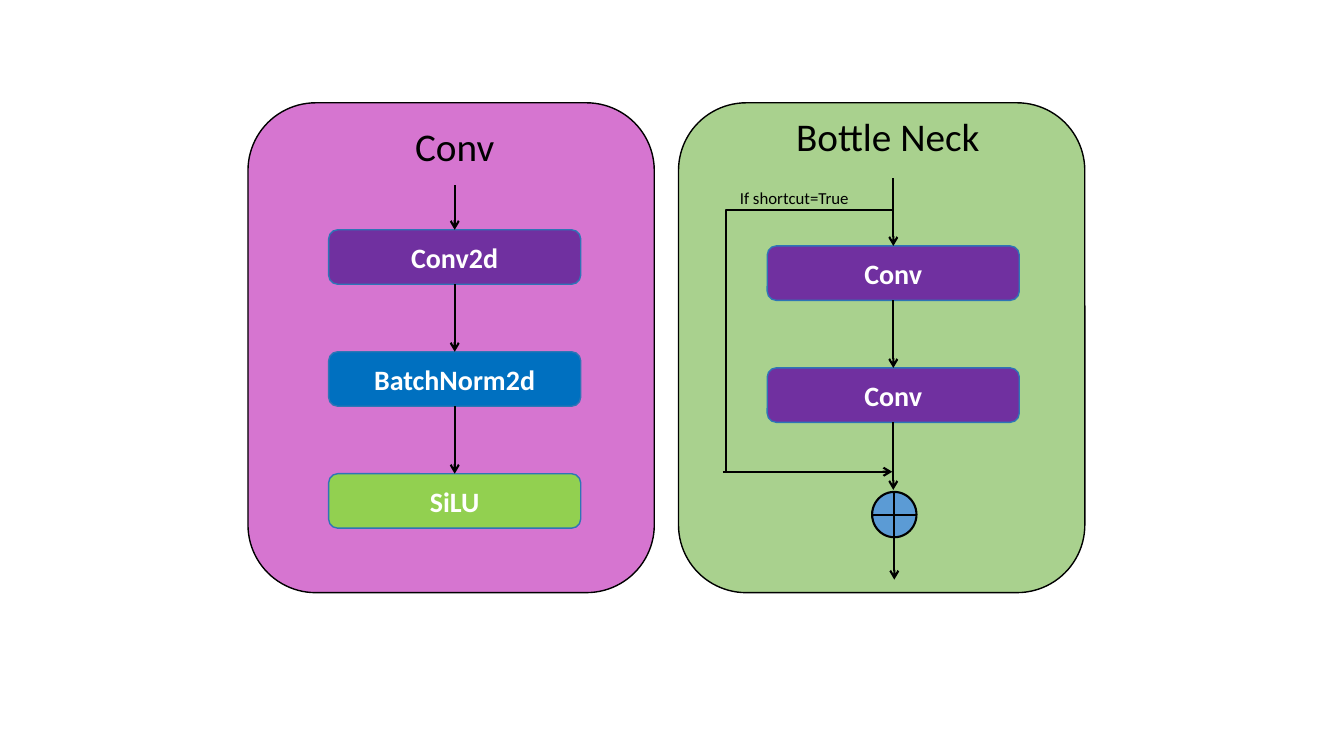
from lxml import etree
from pptx import Presentation
from pptx.dml.color import RGBColor
from pptx.enum.shapes import MSO_CONNECTOR, MSO_SHAPE
from pptx.enum.text import MSO_ANCHOR, MSO_AUTO_SIZE, PP_ALIGN
from pptx.oxml.ns import qn
from pptx.util import Inches, Pt

BLACK, WHITE, EDGE = "000000", "FFFFFF", "2E75B6"
PURPLE, BLUE, GREEN = "7030A0", "0070C0", "92D050"

PANEL_TOP, PANEL_WIDTH, PANEL_HEIGHT = 1.02, 4.03, 4.86
LAYER_WIDTH, LAYER_HEIGHT, LAYER_STEP = 2.5, 0.54, 1.21
PANELS = [
    {"left": 2.46, "fill": "D675D0", "title": ("Conv", 3.93, 1.16, 1.16),
     "layer_left": 3.26, "layer_top": 2.28, "entry": 1.84, "exit": None,
     "layers": [("Conv2d", PURPLE), ("BatchNorm2d", BLUE), ("SiLU", GREEN)]},
    {"left": 6.73, "fill": "A9D18E", "title": ("Bottle Neck", 7.61, 1.07, 2.39),
     "layer_left": 7.61, "layer_top": 2.44, "entry": 1.77, "exit": 4.86,
     "layers": [("Conv", PURPLE), ("Conv", PURPLE)]},
]
SUM_NODE = (8.65, 4.88, 0.44, 0.45)
SHORTCUT_START, SHORTCUT_END = (8.85, 2.08), (7.2, 4.68)
SHORTCUT_LABEL = ("If shortcut=True", 7.24, 1.81, 1.4)


def color(hex_value):
    return RGBColor.from_string(hex_value)


def write(frame, text, size, ink, align, bold=False):
    para = frame.paragraphs[0]
    para.text = text
    para.alignment = align
    para.font.name = "Calibri"
    para.font.size = Pt(size)
    para.font.bold = bold
    para.font.color.rgb = color(ink)


def add_box(page, kind, bounds, fill, edge, weight=1):
    box = page.shapes.add_shape(kind, *map(Inches, bounds))
    box.shadow.inherit = False
    box.fill.solid()
    box.fill.fore_color.rgb = color(fill)
    box.line.color.rgb = color(edge)
    box.line.width = Pt(weight)
    return box


def add_label(page, text, left, top, width, height, size, align):
    label = page.shapes.add_textbox(*map(Inches, (left, top, width, height)))
    label.text_frame.word_wrap = True
    label.text_frame.auto_size = MSO_AUTO_SIZE.SHAPE_TO_FIT_TEXT
    write(label.text_frame, text, size, BLACK, align)


def add_line(page, start, end, kind=MSO_CONNECTOR.STRAIGHT, arrow=True):
    line = page.shapes.add_connector(kind, *map(Inches, (*start, *end)))
    line.line.color.rgb = color(BLACK)
    line.line.width = Pt(1.5)
    if arrow:
        etree.SubElement(line.line._get_or_add_ln(), qn("a:tailEnd"), type="arrow")
    etree.SubElement(line._element.spPr, qn("a:effectLst"))
    return line


def add_panel(page, panel):
    add_box(page, MSO_SHAPE.ROUNDED_RECTANGLE,
            (panel["left"], PANEL_TOP, PANEL_WIDTH, PANEL_HEIGHT), panel["fill"], BLACK)
    add_label(page, *panel["title"], 0.57, 28, PP_ALIGN.CENTER)
    center = panel["layer_left"] + LAYER_WIDTH / 2
    arrow_start = panel["entry"]
    for index, (name, fill) in enumerate(panel["layers"]):
        top = panel["layer_top"] + index * LAYER_STEP
        layer = add_box(page, MSO_SHAPE.ROUNDED_RECTANGLE,
                        (panel["layer_left"], top, LAYER_WIDTH, LAYER_HEIGHT), fill, EDGE)
        layer.text_frame.vertical_anchor = MSO_ANCHOR.MIDDLE
        write(layer.text_frame, name, 20, WHITE, PP_ALIGN.CENTER, bold=True)
        add_line(page, (center, arrow_start), (center, top))
        arrow_start = top + LAYER_HEIGHT
    if panel["exit"]:
        add_line(page, (center, arrow_start), (center, panel["exit"]))


def add_shortcut(page):
    """Draw the bypass around the layers, the sum node and its output."""
    left, top, width, height = SUM_NODE
    add_box(page, MSO_SHAPE.FLOWCHART_OR, SUM_NODE, "5B9BD5", BLACK, 1.5)
    bypass = add_line(page, SHORTCUT_START, SHORTCUT_END, MSO_CONNECTOR.ELBOW, arrow=False)
    guides = bypass._element.spPr.find(qn("a:prstGeom")).find(qn("a:avLst"))
    etree.SubElement(guides, qn("a:gd"), name="adj1", fmla="val 100000")
    add_line(page, (7.17, SHORTCUT_END[1]), (SHORTCUT_START[0], SHORTCUT_END[1]))
    center, bottom = left + width / 2, top + height
    add_line(page, (center, bottom), (center, bottom + 0.42))
    add_label(page, *SHORTCUT_LABEL, 0.3, 12, PP_ALIGN.LEFT)


def main():
    deck = Presentation()
    deck.slide_width, deck.slide_height = Inches(13.33), Inches(7.5)
    page = deck.slides.add_slide(deck.slide_layouts[6])
    for panel in PANELS:
        add_panel(page, panel)
    add_shortcut(page)
    deck.save("out.pptx")


if __name__ == "__main__":
    main()
